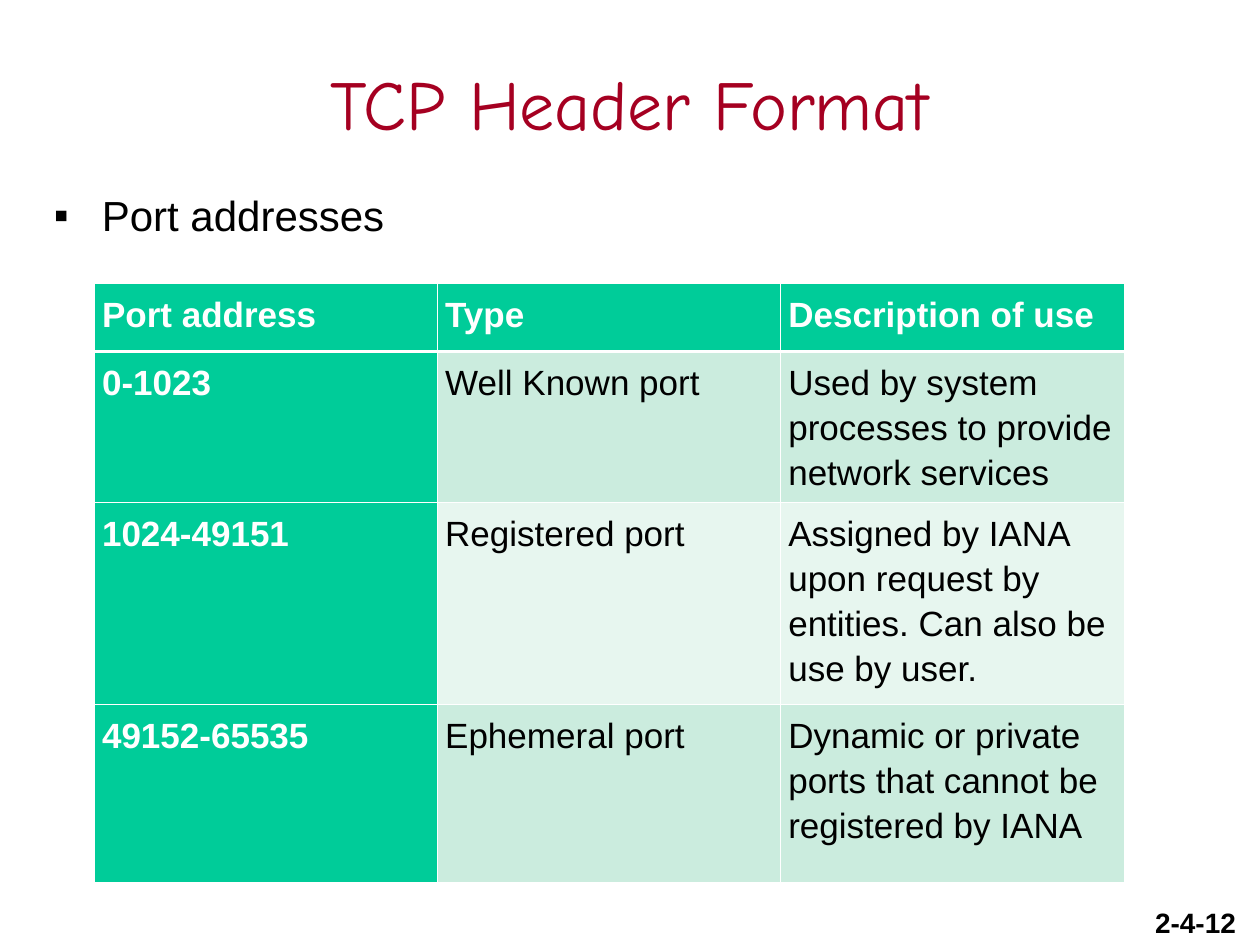
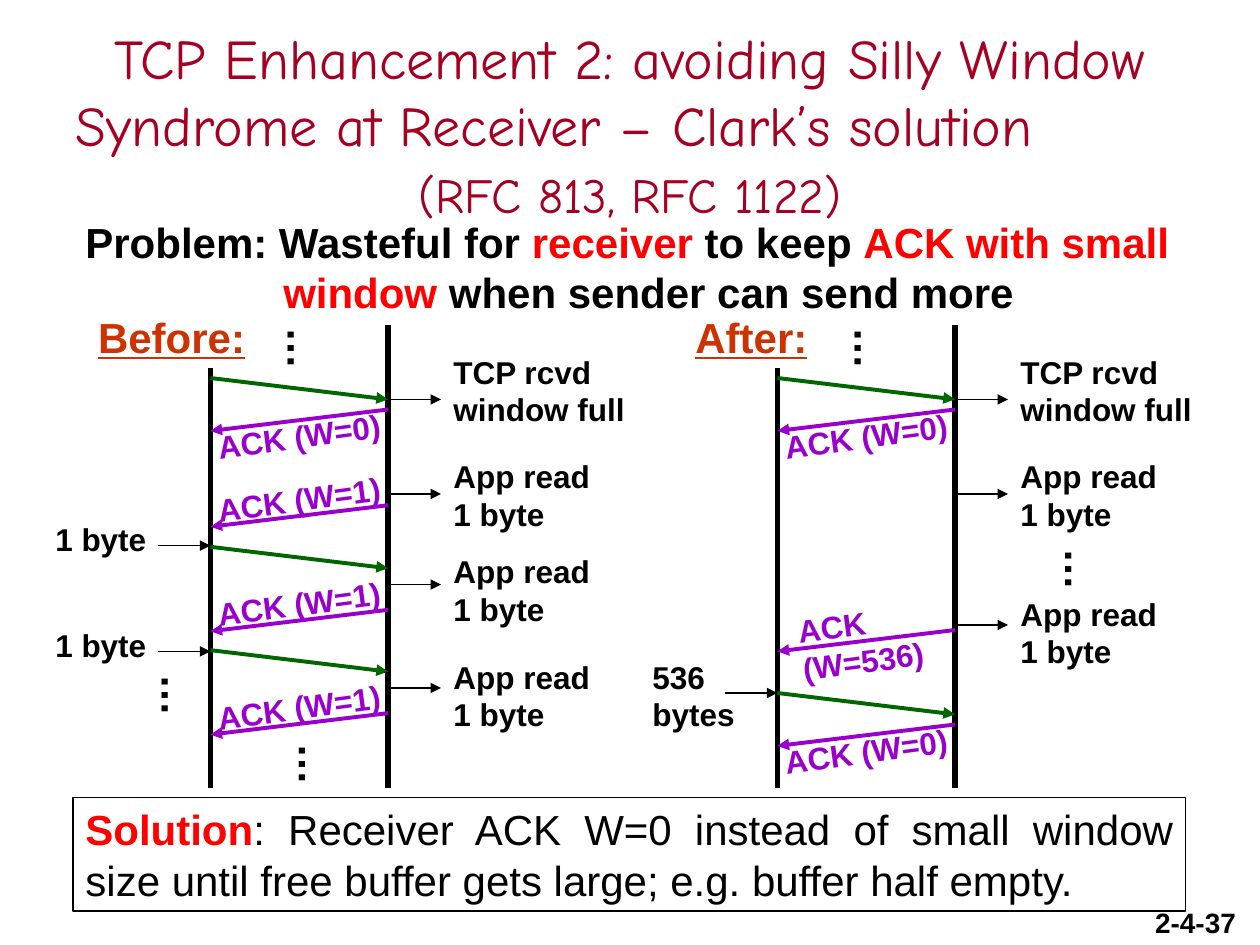
from lxml import etree
from pptx import Presentation
from pptx.dml.color import RGBColor
from pptx.enum.shapes import MSO_CONNECTOR, MSO_SHAPE
from pptx.enum.text import MSO_ANCHOR, PP_ALIGN
from pptx.oxml import parse_xml
from pptx.oxml.ns import nsdecls, qn
from pptx.util import Inches, Pt

BLACK = RGBColor(0x00, 0x00, 0x00)
WHITE = RGBColor(0xFF, 0xFF, 0xFF)
TITLE_RED = RGBColor(0xA5, 0x00, 0x21)
ALERT_RED = RGBColor(0xFF, 0x00, 0x00)
HEADING_ORANGE = RGBColor(0xCC, 0x33, 0x00)
DATA_GREEN = RGBColor(0x00, 0x66, 0x00)
ACK_PURPLE = RGBColor(0x99, 0x00, 0xCC)
TABLE_GREEN = RGBColor(0x00, 0xCC, 0x99)
BANDS = (RGBColor(0xCB, 0xEC, 0xDE), RGBColor(0xE7, 0xF6, 0xEF))

BODY_FONT = "Arial"
TITLE_FONT = "Comic Neue"

# Exchange diagram: horizontal distances from the sender's line
RECEIVER = 1.41
SIDE_ARROW = 0.42
SLOPE = 0.17
LIFELINE_TOP, LIFELINE_BOTTOM = 2.58, 6.25
ACK_TILT = -7.6
BELOW, ABOVE = 0.01, -0.25  # label top, measured from the start of its ACK arrow

PORTS = [
    ("Port address", "Type", "Description of use"),
    ("0-1023", "Well Known port",
     "Used by system processes to provide network services"),
    ("1024-49151", "Registered port",
     "Assigned by IANA upon request by entities. Can also be use by user."),
    ("49152-65535", "Ephemeral port",
     "Dynamic or private ports that cannot be registered by IANA"),
]
PORT_ROW_HEIGHTS = (0.54, 1.2, 1.6, 1.41)

WINDOW_FULL = (3.17, 2.75, 1.58, "TCP rcvd window full")
BEFORE = {
    "heading": ("Before:", -0.99, 1.36),
    "data": (3, 4.34, 5.16),
    "acks": ((3.25, BELOW, "ACK (W=0)"), (4.01, ABOVE, "ACK (W=1)"),
             (4.84, ABOVE, "ACK (W=1)"), (5.66, ABOVE, "ACK (W=1)")),
    "reads": (WINDOW_FULL, (3.92, 3.58, 1.42, "App read 1 byte"),
              (4.64, 4.33, 1.42, "App read 1 byte"),
              (5.46, 5.17, 1.42, "App read 1 byte")),
    "sends": ((4.33, 4.08, -1.33, "1 byte"), (5.17, 4.92, -1.33, "1 byte")),
    "dots": ((0.48, 2.52), (-0.52, 5.27), (0.57, 5.82)),
}
AFTER = {
    "heading": ("After:", -0.75, 1.09),
    "data": (3, 5.5),
    "acks": ((3.25, BELOW, "ACK (W=0)"), (5, -0.26, "ACK\n(W=536)"),
             (5.75, BELOW, "ACK (W=0)")),
    "reads": (WINDOW_FULL, (3.92, 3.58, 1.42, "App read 1 byte"),
              (4.96, 4.67, 1.42, "App read 1 byte")),
    "sends": ((5.5, 5.17, -1.09, "536 bytes"),),
    "dots": ((0.48, 2.52), (2.15, 4.27)),
}


def inches(*lengths):
    return [Inches(length) for length in lengths]


def style(font, size, color, bold=False, name=BODY_FONT):
    font.name, font.size, font.bold = name, Pt(size), bold
    font.color.rgb = color


def set_insets(frame, horizontal=0.1, vertical=0.05):
    frame.margin_left = frame.margin_right = Inches(horizontal)
    frame.margin_top = frame.margin_bottom = Inches(vertical)


def add_text(slide, box, text, size, color=BLACK, bold=True, wrap=True, tilt=0):
    """Place text in one style; each line of it becomes a paragraph."""
    label = slide.shapes.add_textbox(*inches(*box))
    label.rotation = tilt
    frame = label.text_frame
    frame.word_wrap = wrap
    set_insets(frame)
    frame.text = text
    for paragraph in frame.paragraphs:
        style(paragraph.font, size, color, bold)
    return frame


def add_runs(paragraph, size, runs):
    for text, color, bold in runs:
        run = paragraph.add_run()
        run.text = text
        style(run.font, size, color, bold)


def add_line(slide, start, end, color, width, arrow=True):
    line = slide.shapes.add_connector(
        MSO_CONNECTOR.STRAIGHT, *inches(*start, *end))
    line.line.color.rgb = color
    line.line.width = Pt(width)
    properties = line._element.spPr
    if arrow:
        etree.SubElement(properties.find(qn("a:ln")), qn("a:tailEnd"), type="triangle")
    etree.SubElement(properties, qn("a:effectLst"))


def add_panel(slide, box, outlined=False):
    """Draw a white rectangle and give back its text frame."""
    panel = slide.shapes.add_shape(MSO_SHAPE.RECTANGLE, *inches(*box))
    panel.shadow.inherit = False
    panel.fill.solid()
    panel.fill.fore_color.rgb = WHITE
    if outlined:
        panel.line.color.rgb = BLACK
        panel.line.width = Pt(1)
    else:
        panel.line.fill.background()
    frame = panel.text_frame
    frame.word_wrap = outlined
    frame.vertical_anchor = MSO_ANCHOR.TOP
    set_insets(frame)
    return frame


def add_title(slide, box, lines):
    frame = add_text(slide, box, "\n".join(text for text, _ in lines), 40)
    set_insets(frame, 0, 0)
    frame.vertical_anchor = MSO_ANCHOR.MIDDLE
    for paragraph, (_, size) in zip(frame.paragraphs, lines):
        paragraph.alignment = PP_ALIGN.CENTER
        style(paragraph.font, size, TITLE_RED, name=TITLE_FONT)
    return frame


def add_base_slide(deck, number):
    slide = deck.slides.add_slide(deck.slide_layouts[6])
    add_text(slide, (9.07, 7.14, 0.93, 0.36), number, 16, wrap=False)
    return slide


def add_bullet(slide, box, text):
    frame = add_text(slide, box, "", 24)
    paragraph = frame.paragraphs[0]
    paragraph.line_spacing = 0.9
    properties = paragraph._p.get_or_add_pPr()
    properties.set("marL", str(Inches(0.38)))
    properties.set("indent", str(-Inches(0.38)))
    bullet_font = etree.Element(qn("a:buFont"), typeface=BODY_FONT)
    bullet = etree.Element(qn("a:buChar"), char="▪")
    properties.find(qn("a:lnSpc")).addnext(bullet_font)
    bullet_font.addnext(bullet)
    add_runs(paragraph, 24, [(text, BLACK, False)])


def set_borders(cell, row):
    """White cell borders, thicker between header and body."""
    properties = cell._tc.get_or_add_tcPr()
    thick_side = {0: "lnB", 1: "lnT"}.get(row)
    for index, side in enumerate(("lnL", "lnR", "lnT", "lnB")):
        width = Pt(1.47 if side == thick_side else 0.45)
        properties.insert(index, parse_xml(
            f'<a:{side} {nsdecls("a")} w="{width}"><a:solidFill>'
            f'<a:srgbClr val="{WHITE}"/></a:solidFill></a:{side}>'))


def add_port_table(slide, box):
    table = slide.shapes.add_table(len(PORTS), len(PORTS[0]), *inches(*box)).table
    for column in table.columns:
        column.width = Inches(box[2] / len(PORTS[0]))
    for row, texts in enumerate(PORTS):
        table.rows[row].height = Inches(PORT_ROW_HEIGHTS[row])
        for column, text in enumerate(texts):
            is_header = row == 0 or column == 0
            cell = table.cell(row, column)
            cell.text = text
            set_insets(cell, 0.06)
            cell.margin_bottom = 0
            cell.fill.solid()
            cell.fill.fore_color.rgb = TABLE_GREEN if is_header else BANDS[(row - 1) % 2]
            set_borders(cell, row)
            paragraph = cell.text_frame.paragraphs[0]
            paragraph.line_spacing = 1.15
            style(paragraph.font, 20, WHITE if is_header else BLACK, is_header)


def add_exchange(slide, sender, exchange):
    """Draw a sender-receiver sequence; sender is the x of the sender's line."""
    receiver = sender + RECEIVER
    for x in (sender, receiver):
        add_line(slide, (x, LIFELINE_TOP), (x, LIFELINE_BOTTOM), BLACK, 3, arrow=False)

    heading, offset, width = exchange["heading"]
    frame = add_panel(slide, (sender + offset, 2.42, width, 0.5))
    frame.text = heading
    paragraph = frame.paragraphs[0]
    paragraph.alignment = PP_ALIGN.LEFT
    style(paragraph.font, 24, HEADING_ORANGE, True)
    paragraph.font.underline = True

    for offset, top in exchange["dots"]:
        add_text(slide, (sender + offset, top, 0.53, 0.5), "…", 24, wrap=False, tilt=90)
    for y in exchange["data"]:
        add_line(slide, (sender, y), (receiver, y + SLOPE), DATA_GREEN, 2.25)
    for y, label_offset, text in exchange["acks"]:
        add_line(slide, (receiver, y), (sender, y + SLOPE), ACK_PURPLE, 2.25)
        width, height = (1.25, 0.7) if "\n" in text else (1.5, 0.4)
        left = (sender + receiver - width) / 2
        add_text(slide, (left, y + label_offset, width, height), text, 18,
                 ACK_PURPLE, wrap=False, tilt=ACK_TILT)
    for y, top, width, text in exchange["reads"]:
        note_left = receiver + SIDE_ARROW
        add_line(slide, (receiver, y), (note_left, y), BLACK, 1)
        add_text(slide, (note_left, top, width, 0.7), text, 18)
    for y, top, offset, text in exchange["sends"]:
        add_line(slide, (sender - SIDE_ARROW, y), (sender, y), BLACK, 1)
        add_text(slide, (sender + offset, top, 0.95, 0.4), text, 18)


def add_problem(slide, box):
    frame = add_text(slide, box, "", 24)
    add_runs(frame.paragraphs[0], 24, [
        ("Problem: Wasteful for ", BLACK, True), ("receiver", ALERT_RED, True),
        (" to keep ", BLACK, True), ("ACK with small", ALERT_RED, True)])
    second_line = frame.add_paragraph()
    second_line._p.get_or_add_pPr().set("marL", str(Inches(1.57)))
    add_runs(second_line, 24, [
        ("window", ALERT_RED, True), (" when sender can send more", BLACK, True)])


def add_solution(slide, box):
    paragraph = add_panel(slide, box, outlined=True).paragraphs[0]
    paragraph.alignment = PP_ALIGN.JUSTIFY
    add_runs(paragraph, 24, [
        ("Solution", ALERT_RED, True),
        (": Receiver ACK W=0 instead of small window size until free buffer "
         "gets large; e.g. buffer half empty.", BLACK, False)])


def build_ports_slide(deck):
    slide = add_base_slide(deck, "2-4-12")
    add_title(slide, (0.5, 0.3, 9, 1.03), [("TCP Header Format", 40)])
    add_bullet(slide, (0.33, 1.5, 9.25, 0.6), "Port addresses")
    add_port_table(slide, (0.75, 2.25, 8.17, 4.75))


def build_silly_window_slide(deck):
    slide = add_base_slide(deck, "2-4-37")
    title = add_title(slide, (0.5, 0.42, 9, 1.12), [
        ("TCP Enhancement 2: avoiding Silly Window", 32),
        ("Syndrome at Receiver – Clark’s solution", 32),
        ("(RFC 813, RFC 1122)", 28)])
    _, second_line, citation = title.paragraphs
    second_line.alignment = PP_ALIGN.LEFT
    second_line._p.get_or_add_pPr().set("marL", str(Inches(0.1)))
    citation.space_before = Pt(4)
    add_exchange(slide, 1.67, BEFORE)
    add_exchange(slide, 6.17, AFTER)
    add_solution(slide, (0.58, 6.33, 8.83, 0.9))
    add_problem(slide, (0.58, 1.67, 9, 0.9))


def main():
    deck = Presentation()
    deck.slide_width, deck.slide_height = inches(10, 7.5)
    build_ports_slide(deck)
    build_silly_window_slide(deck)
    deck.save("out.pptx")


if __name__ == "__main__":
    main()
